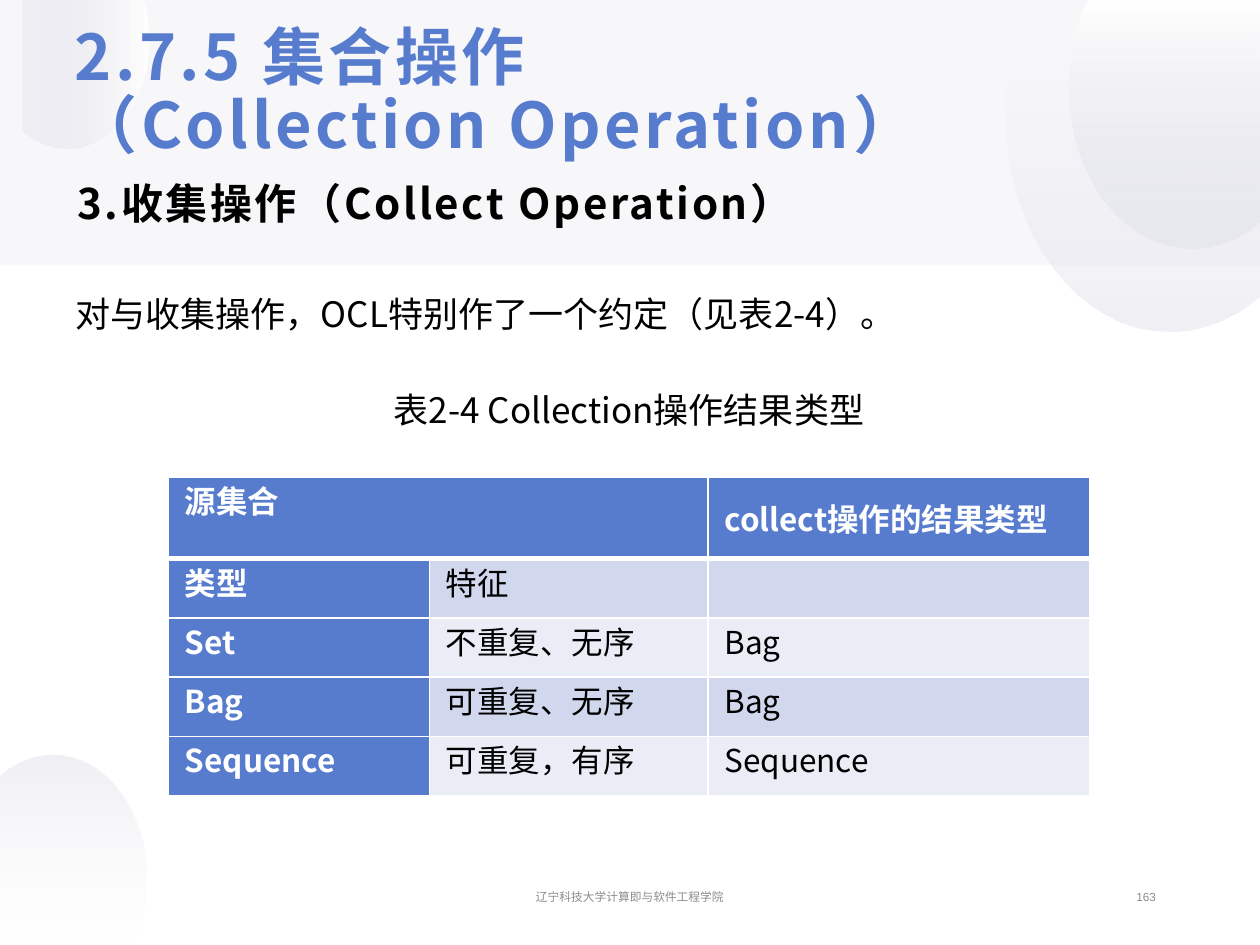
from lxml.etree import SubElement
from pptx import Presentation
from pptx.dml.color import RGBColor
from pptx.enum.shapes import MSO_SHAPE
from pptx.enum.text import MSO_ANCHOR, PP_ALIGN
from pptx.oxml.ns import qn
from pptx.util import Inches, Pt

WIDTH, HEIGHT = Inches(10), Inches(7.5)
CJK = "Noto Sans CJK SC"
COLORS = {
    "blue": "577CCE", "white": "FFFFFF", "black": "000000", "grey": "8C8C8C",
    "band": "F5F5F8", "mist": "D8D8E4", "haze": "BEBED2",
    "odd": "D1D7ED", "even": "EAECF6",
}
CORNERS = [(0.1, 0), (1, 0), (1, 0.89), (0.95, 0.92)]
CURVES = [
    (0.86, 0.97), (0.75, 1), (0.64, 1),
    (0.29, 1), (0, 0.71), (0, 0.35),
    (0, 0.24), (0.03, 0.13), (0.08, 0.04),
]


def box(left, top, width, height):
    return [int(share * side / 100) for share, side in
            zip((left, top, width, height), (WIDTH, HEIGHT, WIDTH, HEIGHT))]


def add_color(parent, color, alpha=100):
    element = SubElement(parent, qn("a:srgbClr"), val=COLORS[color])
    if alpha < 100:
        SubElement(element, qn("a:alpha"), val=str(alpha * 1000))


def style(paragraph, size, color="black", bold=False, font=CJK, spacing=0):
    paragraph.font.size = Pt(size)
    paragraph.font.bold = bold
    paragraph.font.color.rgb = RGBColor.from_string(COLORS[color])
    paragraph.font.name = font
    properties = paragraph._p.pPr.find(qn("a:defRPr"))
    SubElement(properties, qn("a:ea"), typeface=font)
    if spacing:
        properties.set("spc", str(int(spacing * 100)))


def add_band(slide, region):
    band = slide.shapes.add_shape(MSO_SHAPE.RECTANGLE, *region)
    band.shadow.inherit = False
    band.line.fill.background()
    band.fill.solid()
    band.fill.fore_color.rgb = RGBColor.from_string(COLORS["band"])
    color = band._element.spPr.find(qn("a:solidFill")).find(qn("a:srgbClr"))
    SubElement(color, qn("a:alpha"), val="70000")


def bend_lines(shape):
    outline = shape._element.find(".//" + qn("a:path"))
    lines = outline.findall(qn("a:lnTo"))[len(CORNERS) - 1:]
    for start in range(0, len(CURVES), 3):
        curve = outline.makeelement(qn("a:cubicBezTo"), {})
        lines[start].addprevious(curve)
        for line in lines[start:start + 3]:
            curve.append(line[0])
            outline.remove(line)


def add_circle_part(slide, region, stops, rotation=0):
    left, top, width, height = region
    points = [(int(left + width * x), int(top + height * y)) for x, y in CORNERS + CURVES]
    builder = slide.shapes.build_freeform(*points[0])
    builder.add_line_segments(points[1:], close=True)
    shape = builder.convert_to_shape()
    bend_lines(shape)
    shape.rotation = rotation
    shape.shadow.inherit = False
    shape.line.fill.background()
    shape.fill.gradient()
    gradient = shape._element.spPr.find(qn("a:gradFill"))
    gradient.set("rotWithShape", "1")
    for child in list(gradient):
        gradient.remove(child)
    stop_list = SubElement(gradient, qn("a:gsLst"))
    for position, (color, alpha) in zip(("0", "100000"), stops):
        add_color(SubElement(stop_list, qn("a:gs"), pos=position), color, alpha)
    SubElement(gradient, qn("a:lin"), ang="5400000", scaled="0")


def add_decoration(slide):
    fade = [("white", 10), ("haze", 24)]
    glow = [("white", 100), ("mist", 24)]
    add_band(slide, box(0, 0, 100, 28))
    add_circle_part(slide, box(0, 0, 13.6, 13.33), glow[::-1], rotation=270)
    add_circle_part(slide, box(84.8, 0, 15.2, 26.27), glow)
    add_circle_part(slide, box(79.8, 0, 20.2, 35.07), fade)
    add_circle_part(slide, box(0, 79.87, 11.6, 20.13), fade, rotation=180)


def add_title(slide, region, text):
    title = slide.shapes.title
    slide.shapes._spTree.append(title._element)
    title.left, title.top, title.width, title.height = region
    title.text_frame.text = text
    title.text_frame.vertical_anchor = MSO_ANCHOR.MIDDLE
    paragraph = title.text_frame.paragraphs[0]
    paragraph.alignment = PP_ALIGN.LEFT
    paragraph.line_spacing = 0.9
    style(paragraph, 36, "blue", bold=True, spacing=2)


def add_text(slide, region, text, size, align=PP_ALIGN.LEFT,
             anchor=MSO_ANCHOR.MIDDLE, wrap=True, **font):
    frame = slide.shapes.add_textbox(*region).text_frame
    frame.word_wrap = wrap
    frame.vertical_anchor = anchor
    frame.text = text
    paragraph = frame.paragraphs[0]
    paragraph.alignment = align
    style(paragraph, size, **font)
    return frame


def add_subtitle(slide, region, text):
    frame = add_text(slide, region, text, 24, anchor=MSO_ANCHOR.TOP, bold=True, spacing=1.5)
    frame.margin_top = frame.margin_bottom = 0
    frame.margin_left, frame.margin_right = Inches(0.11), Inches(0.09)
    frame.paragraphs[0].line_spacing = 1.3


def set_borders(cell, bottom):
    properties = cell._tc.get_or_add_tcPr()
    widths = {"a:lnL": 1, "a:lnR": 1, "a:lnT": 1, "a:lnB": bottom}
    for index, (tag, width) in enumerate(widths.items()):
        line = properties.makeelement(qn(tag), {"w": str(Pt(width))})
        add_color(SubElement(line, qn("a:solidFill")), "white")
        properties.insert(index, line)


def fill_cell(cell, text, row, column):
    heading = row == 0 or column == 0
    fill = "blue" if heading else ("odd" if row % 2 else "even")
    cell.fill.solid()
    cell.fill.fore_color.rgb = RGBColor.from_string(COLORS[fill])
    set_borders(cell, bottom=1 if row else 3)
    cell.margin_left = cell.margin_right = Inches(0.07)
    cell.margin_top = cell.margin_bottom = 0
    if text:
        cell.text = text
    paragraph = cell.text_frame.paragraphs[0]
    properties = paragraph._p.get_or_add_pPr()
    properties.set("marL", str(Inches(0.06)))
    properties.set("indent", "0")
    style(paragraph, 18, "white" if heading else "black", bold=heading)


def add_result_table(slide, region, rows):
    left, top, width, height = region
    table = slide.shapes.add_table(len(rows), len(rows[0]), *region).table
    for column, share in zip(table.columns, (28.34, 30.24, 41.42)):
        column.width = int(width * share / 100)
    for row, share in zip(table.rows, [25.6] + [18.6] * (len(rows) - 1)):
        row.height = int(height * share / 100)
    for row, texts in enumerate(rows):
        for column, text in enumerate(texts):
            fill_cell(table.cell(row, column), text, row, column)
    table.cell(0, 0).merge(table.cell(0, 1))
    table.cell(0, 2).vertical_anchor = MSO_ANCHOR.MIDDLE


def main():
    presentation = Presentation()
    presentation.slide_width, presentation.slide_height = WIDTH, HEIGHT
    slide = presentation.slides.add_slide(presentation.slide_layouts[5])
    add_decoration(slide)
    add_subtitle(slide, box(5.05, 17.2, 90, 9.07), "3.收集操作（Collect Operation）")
    add_title(slide, box(4.92, 5.2, 90, 9.6), "2.7.5 集合操作\v（Collection Operation）")
    add_result_table(slide, box(13.38, 50.48, 73.1, 33.73), [
        ("源集合", "", "collect操作的结果类型"),
        ("类型", "特征", ""),
        ("Set", "不重复、无序", "Bag"),
        ("Bag", "可重复、无序", "Bag"),
        ("Sequence", "可重复，有序", "Sequence"),
    ])
    add_text(slide, box(26.73, 40.35, 46.4, 5.87), "表2-4 Collection操作结果类型", 20,
             align=PP_ALIGN.CENTER)
    add_text(slide, box(5, 30.27, 67, 5.87),
             "对与收集操作，OCL特别作了一个约定（见表2-4）。", 20,
             anchor=MSO_ANCHOR.TOP, wrap=False)
    footer = {"size": 6.75, "color": "grey", "font": "Arial"}
    add_text(slide, box(70.63, 93.2, 22.1, 3.47), "163", align=PP_ALIGN.RIGHT, **footer)
    add_text(slide, box(33.75, 93.2, 32.5, 3.47), "辽宁科技大学计算即与软件工程学院",
             align=PP_ALIGN.CENTER, **footer)
    presentation.save("out.pptx")


if __name__ == "__main__":
    main()
